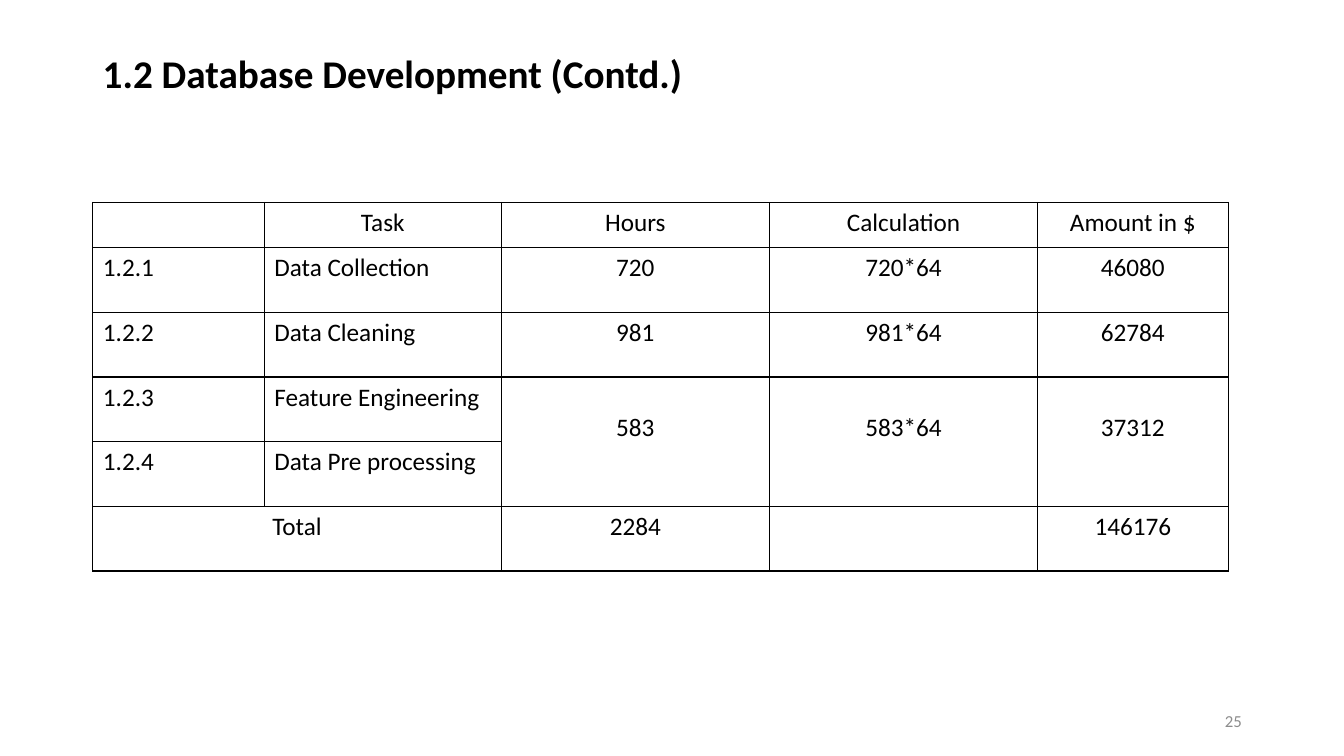
from dataclasses import dataclass

from lxml.etree import SubElement as Sub
from pptx import Presentation
from pptx.dml.color import RGBColor as RGB
from pptx.enum.text import MSO_ANCHOR as Anchor, PP_ALIGN as Align
from pptx.oxml.ns import qn
from pptx.util import Cm, Pt


@dataclass(frozen=True)
class Theme:
    font: str = "Calibri"
    ink: str = "000000"
    muted: str = "8C8C8C"
    title: int = 28
    body: int = 18
    small: int = 12
    rule: int = 1


THEME = Theme()
COLS = (4.32, 5.97, 6.76, 6.76, 4.8)
ROWS = (1.14,) + (1.63,) * 5
TASKS = (
    ("", "Task", "Hours", "Calculation", "Amount in $"),
    ("1.2.1", "Data Collection", "720", "720*64", "46080"),
    ("1.2.2", "Data Cleaning", "981", "981*64", "62784"),
    ("1.2.3", "Feature Engineering", "583", "583*64", "37312"),
    ("1.2.4", "Data Pre processing", "", "", ""),
    ("Total", "", "2284", "", "146176"),
)


def style(par, size, color, align, bold=False):
    par.alignment = align
    for font in [par.font] + [run.font for run in par.runs]:
        font.name = THEME.font
        font.size = Pt(size)
        font.bold = bold
        font.color.rgb = RGB.from_string(color)


def add_text(slide, box, text, size, color, align, bold=False):
    frame = slide.shapes.add_textbox(*map(Cm, box)).text_frame
    frame.word_wrap = True
    frame.vertical_anchor = Anchor.MIDDLE
    frame.text = text
    style(frame.paragraphs[0], size, color, align, bold)
    return frame


def add_title(slide, box, text):
    frame = add_text(slide, box, text, THEME.title, THEME.ink, Align.JUSTIFY, True)
    frame.paragraphs[0].line_spacing = 0.9


def add_number(slide, box, text):
    add_text(slide, box, text, THEME.small, THEME.muted, Align.RIGHT)


def draw_edges(cell):
    props = cell._tc.get_or_add_tcPr()
    for side in ("lnL", "lnR", "lnT", "lnB"):
        line = Sub(props, qn(f"a:{side}"), w=str(Pt(THEME.rule)))
        fill = Sub(line, qn("a:solidFill"))
        Sub(fill, qn("a:srgbClr"), val=THEME.ink)


def add_tasks(slide, box):
    """Place the cost table, with shared hours for the last two tasks."""
    table = slide.shapes.add_table(len(ROWS), len(COLS), *map(Cm, box)).table
    table.first_row = table.horz_banding = False
    for col, width in zip(table.columns, COLS):
        col.width = Cm(width)
    for row, height in zip(table.rows, ROWS):
        row.height = Cm(height)

    last = len(ROWS) - 1
    for r, texts in enumerate(TASKS):
        for c, text in enumerate(texts):
            cell = table.cell(r, c)
            cell.text = text
            left = c < 2 and 0 < r < last
            style(cell.text_frame.paragraphs[0], THEME.body, THEME.ink,
                  Align.LEFT if left else Align.CENTER)
            draw_edges(cell)
            cell.fill.background()

    table.cell(last, 0).merge(table.cell(last, 1))
    for c in range(2, len(COLS)):
        shared = table.cell(3, c)
        shared.merge(table.cell(4, c))
        shared.margin_top = Cm(0.9)


def main():
    deck = Presentation()
    deck.slide_width, deck.slide_height = Cm(33.87), Cm(19.05)
    slide = deck.slides.add_slide(deck.slide_layouts[6])
    add_title(slide, (2.34, 1.02, 29.21, 1.8), "1.2 Database Development (Contd.)")
    add_tasks(slide, (2.34, 5.1, sum(COLS), sum(ROWS)))
    add_number(slide, (23.93, 17.65, 7.62, 1.02), "25")
    deck.save("out.pptx")


if __name__ == "__main__":
    main()
